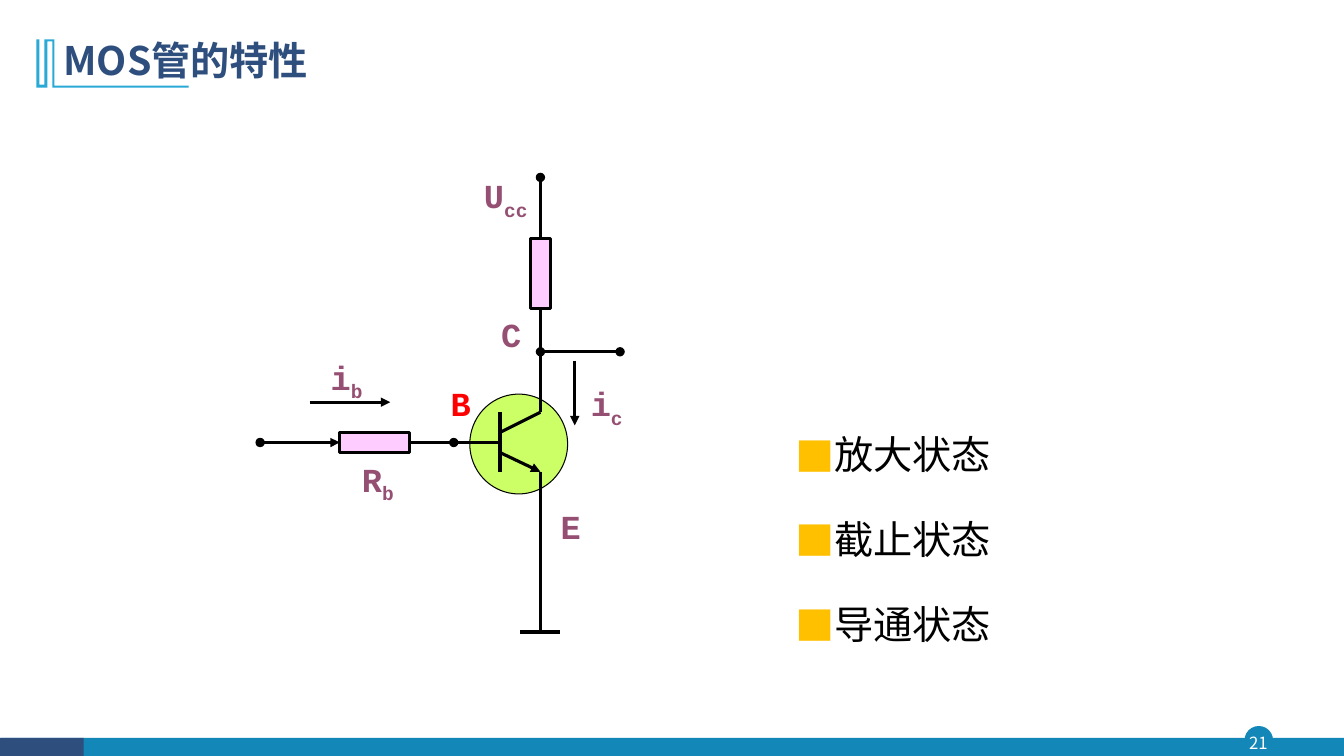
from typing import NamedTuple

import lxml.etree
import pptx
import pptx.dml.color
import pptx.enum.shapes
import pptx.enum.text
import pptx.oxml.ns
import pptx.util

Inches, Pt = pptx.util.Inches, pptx.util.Pt
MSO = pptx.enum.shapes.MSO_SHAPE
ALIGN = pptx.enum.text.PP_ALIGN
MIDDLE = pptx.enum.text.MSO_ANCHOR.MIDDLE
qn = pptx.oxml.ns.qn

SANS, MONO = "Noto Sans CJK SC", "Courier New"
BLACK, WHITE, NAVY, BLUE, SKY = "000000", "FFFFFF", "2E4E7E", "1387B7", "28A9D6"
PURPLE, RED, PINK, LIME, AMBER = "954F72", "FF0000", "FFCCFF", "CCFF66", "FFC000"


class Block(NamedTuple):
    kind: MSO
    box: tuple
    fill: str
    line: str = ""
    width: float = 1


class Wire(NamedTuple):
    start: tuple
    end: tuple
    head: str = ""
    tail: str = ""
    width: float = 2.25
    begin_at: tuple = ()
    end_at: tuple = ()


class Label(NamedTuple):
    text: str
    sub: str
    left: float
    top: float
    width: float = 0.59
    color: str = PURPLE


def paint(target, color: str) -> None:
    target.solid()
    target.fore_color.rgb = pptx.dml.color.RGBColor.from_string(color)


def apply(target, values: dict) -> None:
    for name, value in values.items():
        setattr(target, name, value)


def add_run(p, text: str, color: str, **font):
    r = p.add_run()
    r.text = text
    apply(r.font, font)
    paint(r.font.fill, color)
    lxml.etree.SubElement(r._r.get_or_add_rPr(), qn("a:ea"), typeface=font["name"])
    return r


def frame(sp, inset: float, **values):
    tf = sp.text_frame
    sides = ("margin_left", "margin_top", "margin_right", "margin_bottom")
    apply(tf, {**dict.fromkeys(sides, Inches(inset)), "word_wrap": True, **values})
    return tf


def style_shape(sp, fill: str, line: str, width: float) -> None:
    sp.shadow.inherit = False
    paint(sp.fill, fill)
    if line:
        paint(sp.line.fill, line)
        sp.line.width = Pt(width)
    else:
        sp.line.fill.background()


def add_block(shapes, block: Block):
    sp = shapes.add_shape(block.kind, *map(Inches, block.box))
    style_shape(sp, block.fill, block.line, block.width)
    return sp


def add_wire(shapes, wire: Wire, parts: dict) -> None:
    cx = shapes.add_connector(pptx.enum.shapes.MSO_CONNECTOR.STRAIGHT,
                              *map(Inches, wire.start + wire.end))
    paint(cx.line.fill, BLACK)
    cx.line.width = Pt(wire.width)
    for tag, kind in (("a:headEnd", wire.head), ("a:tailEnd", wire.tail)):
        if kind:
            lxml.etree.SubElement(cx.line._get_or_add_ln(), qn(tag), type=kind)
    lxml.etree.SubElement(cx._element.spPr, qn("a:effectLst"))
    for connect, joint in ((cx.begin_connect, wire.begin_at), (cx.end_connect, wire.end_at)):
        if joint:
            connect(parts[joint[0]], joint[1])


def add_label(shapes, label: Label) -> None:
    sp = shapes.add_textbox(*map(Inches, (label.left, label.top, label.width, 0.4)))
    p = frame(sp, 0.01).paragraphs[0]
    p.alignment = ALIGN.JUSTIFY
    font = {"size": Pt(24), "name": MONO, "bold": True}
    add_run(p, label.text, label.color, **font)
    if label.sub:
        r = add_run(p, label.sub, label.color, **font)
        r._r.get_or_add_rPr().set("baseline", "-25000")


def add_bullet(p, color: str, char: str, indent: float) -> None:
    pPr = p._p.get_or_add_pPr()
    apply_indent = {"marL": Inches(indent), "indent": -Inches(indent)}
    for name, value in apply_indent.items():
        pPr.set(name, str(value))
    bu = lxml.etree.SubElement(pPr, qn("a:buClr"))
    lxml.etree.SubElement(bu, qn("a:srgbClr"), val=color)
    lxml.etree.SubElement(pPr, qn("a:buFont"), typeface=SANS)
    lxml.etree.SubElement(pPr, qn("a:buChar"), char=char)


FOOTER = [
    Block(MSO.OVAL, (12.35, 7.21, 0.27, 0.27), BLUE, BLUE),
    Block(MSO.RECTANGLE, (0.01, 7.32, 13.32, 0.19), BLUE),
    Block(MSO.RECTANGLE, (0, 7.32, 0.83, 0.19), NAVY),
]
TITLE_MARK = [
    (0.54, 0.39), (0.54, 0.85), (1.87, 0.85), (1.87, 0.87), (0.52, 0.87), (0.52, 0.41),
    (0.47, 0.41), (0.47, 0.87), (0.36, 0.87), (0.36, 0.39), (0.39, 0.39), (0.39, 0.84),
    (0.44, 0.84), (0.44, 0.39),
]
STATES = ["放大状态", "截止状态", "导通状态"]

AXIS, BASE, BASE_Y, OUT_Y, GROUND_Y = 5.36, 4.96, 4.39, 3.49, 6.27
COLLECTOR, EMITTER = (AXIS, 4.09), (AXIS, 4.68)
PARTS = {
    "transistor": Block(MSO.OVAL, (4.66, 3.91, 0.97, 0.99), LIME, BLACK, 0.75),
    "load": Block(MSO.RECTANGLE, (5.26, 2.37, 0.2, 0.69), PINK, BLACK, 2.25),
    "base resistor": Block(MSO.RECTANGLE, (3.37, 4.29, 0.69, 0.2), PINK, BLACK, 2.25),
}
WIRES = [
    Wire((2.58, BASE_Y), (3.37, BASE_Y), "oval", "triangle", end_at=("base resistor", 1)),
    Wire((4.06, BASE_Y), (4.5, BASE_Y), tail="oval", begin_at=("base resistor", 3)),
    Wire((BASE, 4.09), (BASE, 4.68), width=3),
    Wire((BASE, 4.49), EMITTER, tail="triangle"),
    Wire((BASE, 4.29), COLLECTOR),
    Wire((4.36, BASE_Y), (BASE, BASE_Y)),
    Wire(COLLECTOR, (AXIS, 3.06), end_at=("load", 2)),
    Wire((AXIS, OUT_Y), (6.15, OUT_Y), "oval", "oval"),
    Wire((AXIS, GROUND_Y), EMITTER),
    Wire((5.16, GROUND_Y), (5.55, GROUND_Y)),
    Wire((3.07, 3.99), (3.87, 3.99), tail="triangle"),
    Wire((5.7, 3.58), (5.7, 4.22), tail="triangle"),
    Wire((AXIS, 2.37), (AXIS, 1.76), tail="oval", begin_at=("load", 0)),
]
LABELS = [
    Label("i", "b", 3.27, 3.53, 0.57),
    Label("R", "b", 3.58, 4.54),
    Label("i", "c", 5.85, 3.79, 0.67),
    Label("B", "", 4.46, 3.79, color=RED),
    Label("E", "", 5.55, 5.01),
    Label("C", "", 4.96, 3.1),
    Label("U", "cc", 4.79, 1.73),
]


def add_chrome(s) -> None:
    for block in FOOTER:
        add_block(s.shapes, block)
    sp = s.shapes.add_textbox(*map(Inches, (12.32, 7.21, 0.32, 0.31)))
    p = frame(sp, 0, vertical_anchor=MIDDLE).paragraphs[0]
    p.alignment = ALIGN.CENTER
    add_run(p, "21", WHITE, size=Pt(12), name=SANS)
    points = [(Inches(x), Inches(y)) for x, y in TITLE_MARK]
    outline = s.shapes.build_freeform(*points[0])
    outline.add_line_segments(points[1:], close=True)
    style_shape(outline.convert_to_shape(), SKY, "", 0)


def add_title(s) -> None:
    sp = s.shapes.title
    box = (0.53, 0.28, 11.5, 0.68)
    apply(sp, dict(zip(("left", "top", "width", "height"), map(Inches, box))))
    apply(sp.text_frame, {"vertical_anchor": MIDDLE, "word_wrap": True})
    p = sp.text_frame.paragraphs[0]
    apply(p, {"alignment": ALIGN.LEFT, "line_spacing": 0.9})
    add_run(p, "MOS管的特性", NAVY, size=Pt(28), name=SANS, bold=True)


def add_states(s) -> None:
    sp = s.shapes.add_textbox(*map(Inches, (7.79, 3.99, 3.86, 2.72)))
    tf = sp.text_frame
    tf.word_wrap = True
    for i, state in enumerate(STATES):
        p = tf.add_paragraph() if i else tf.paragraphs[0]
        add_bullet(p, AMBER, "■", 0.34)
        apply(p, {"line_spacing": 1.5, "space_before": Pt(10 if i else 0)})
        add_run(p, state, BLACK, size=Pt(28), name=SANS)


def add_circuit(s) -> None:
    shapes = s.shapes.add_group_shape().shapes
    parts = {name: add_block(shapes, block) for name, block in PARTS.items()}
    for wire in WIRES:
        add_wire(shapes, wire, parts)
    for label in LABELS:
        add_label(shapes, label)


def main() -> None:
    prs = pptx.Presentation()
    apply(prs, {"slide_width": Inches(13.33), "slide_height": Inches(7.5)})
    s = prs.slides.add_slide(prs.slide_layouts[5])
    for draw in (add_chrome, add_title, add_states, add_circuit):
        draw(s)
    prs.save("out.pptx")


if __name__ == "__main__":
    main()
